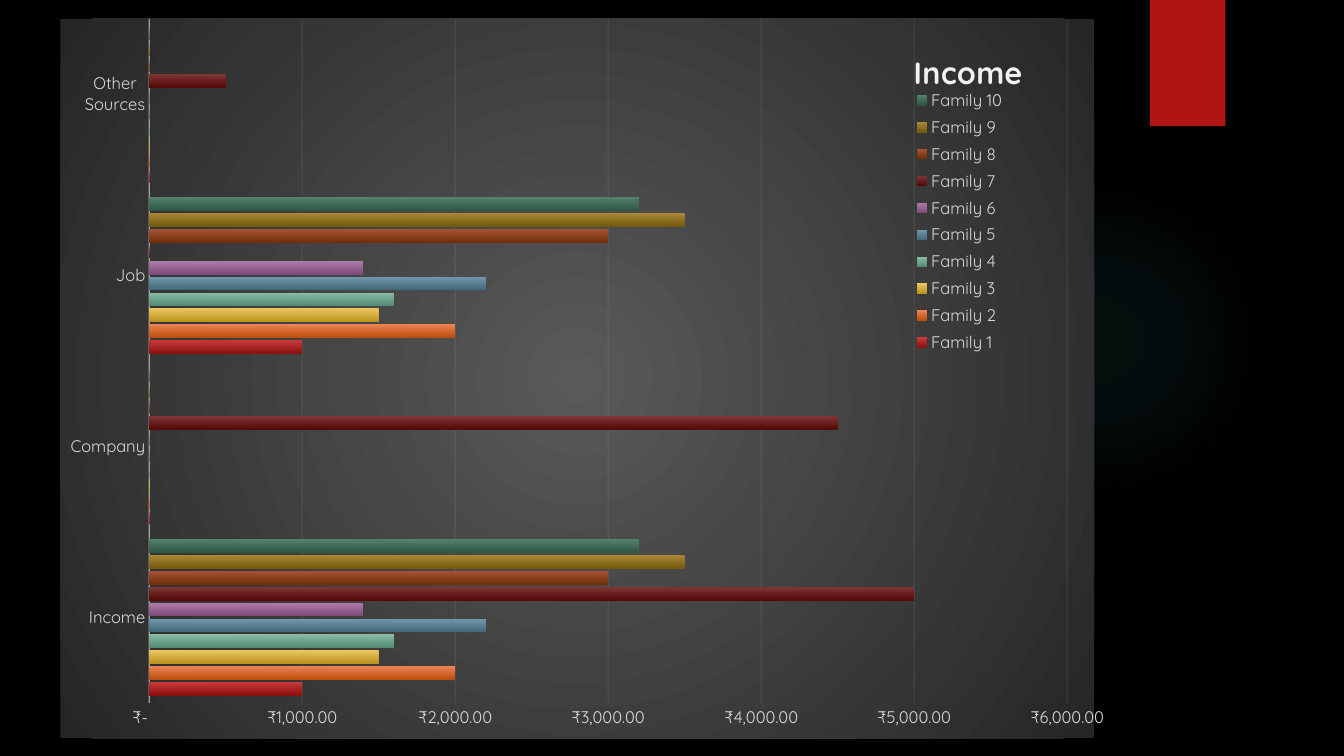
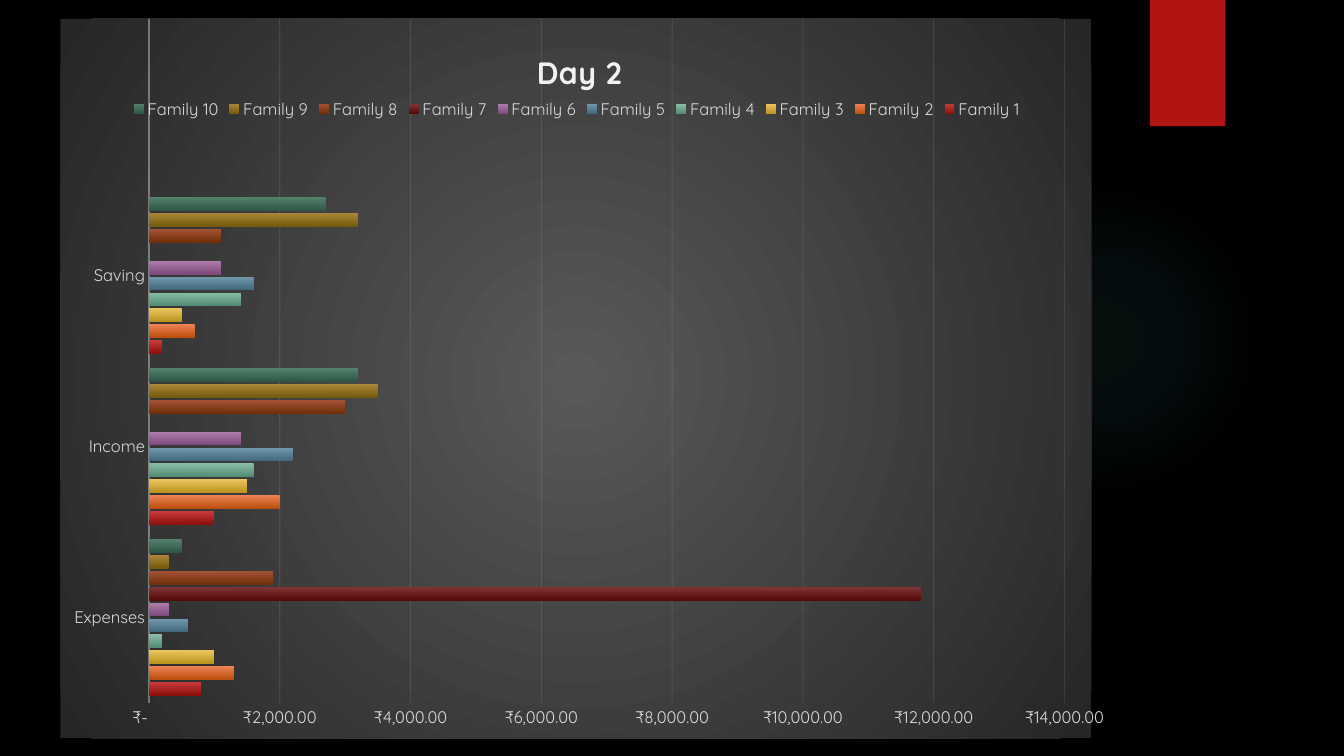
from dataclasses import dataclass

from pptx import Presentation
from pptx import util as u
from pptx.chart.data import CategoryChartData
from pptx.dml.color import RGBColor
from pptx.enum import chart as chart_kinds
from pptx.enum import shapes
from pptx.oxml import parse_xml
from pptx.oxml.ns import nsdecls, qn


@dataclass(frozen=True)
class Theme:
    font: str = "Quicksand"
    base_size: int = 10
    label_size: int = 12
    title_size: int = 22
    title_spacing: int = 50
    background: str = "000000"
    ribbon: str = "B01513"
    glow: str = "50B9C1"
    base_text: str = "FFFFFF"
    label_text: str = "D9D9D9"
    light: str = "F2F2F2"
    panel: tuple = ("595959", "262626")
    families: tuple = (
        ("C93B3A", "8D110F"), ("EE8455", "BC4F0E"), ("EBC65F", "BB941F"),
        ("89BDA7", "538C74"), ("7198AB", "436A7C"), ("AF7CAC", "7F4B7C"),
        ("7F3636", "550A09"), ("A45236", "713009"), ("AA8737", "755B0E"),
        ("52816C", "305646"),
    )


THEME = Theme()
RUPEES = '_("₹"* #,##0.00_);_("₹"* \\(#,##0.00\\);_("₹"* "-"??_);_(@_)'
PLOT_LAYOUT = (0.086, 0, 0.888, 0.951)

CHARTS = (
    {
        "title": "Income",
        "title_at": (0.82, 0.036),
        "legend": chart_kinds.XL_LEGEND_POSITION.CORNER,
        "legend_at": (0.825, 0.09, 0.09, 0.383),
        "scale": (6000, 1000),
        "categories": ("Income", "Company", "Job", "Other Sources\n"),
        "families": (
            (1000, 0, 1000, 0), (2000, 0, 2000, 0), (1500, 0, 1500, 0),
            (1600, 0, 1600, 0), (2200, 0, 2200, 0), (1400, 0, 1400, 0),
            (5000, 4500, 0, 500), (3000, 0, 3000, 0), (3500, 0, 3500, 0),
            (3200, 0, 3200, 0),
        ),
    },
    {
        "title": "Day 2",
        "title_at": (0.457, 0.036),
        "legend": chart_kinds.XL_LEGEND_POSITION.TOP,
        "legend_at": (0.066, 0.105, 0.87, 0.04),
        "scale": (14000, 2000),
        "categories": ("Expenses", "Income", "Saving", ""),
        "families": (
            (800, 1000, 200, None), (1300, 2000, 700, None),
            (1000, 1500, 500, None), (200, 1600, 1400, None),
            (600, 2200, 1600, None), (300, 1400, 1100, None),
            (11800, 0, 0, None), (1900, 3000, 1100, None),
            (300, 3500, 3200, None), (500, 3200, 2700, None),
        ),
    },
)


def apply(target, formats):
    for name, value in formats.items():
        setattr(target, name, value)


def format_font(font, size, colour, bold=False):
    apply(font, {"name": THEME.font, "size": u.Pt(size), "bold": bold})
    font.color.rgb = RGBColor.from_string(colour)


def radial_fill(stops):
    stop_xml = "".join(
        f'<a:gs pos="{position * 1000}"><a:srgbClr val="{colour}">'
        f'<a:alpha val="{opacity * 1000}"/></a:srgbClr></a:gs>'
        for position, colour, opacity in stops
    )
    return (
        f'<a:gradFill {nsdecls("a")}><a:gsLst>{stop_xml}</a:gsLst>'
        '<a:path path="circle"><a:fillToRect l="50000" t="50000" '
        'r="50000" b="50000"/></a:path></a:gradFill>'
    )


def add_plain_shape(slide, kind, left, top, width, height):
    shape = slide.shapes.add_shape(
        kind, u.Cm(left), u.Cm(top), u.Cm(width), u.Cm(height)
    )
    shape.shadow.inherit = False
    shape.line.fill.background()
    return shape


def add_glow(slide):
    shape = add_plain_shape(
        slide, shapes.MSO_SHAPE.OVAL, 23.9, 4.65, 7.82, 7.82
    )
    shape.fill.background()
    properties = shape.element.spPr
    stops = ((0, THEME.glow, 7), (36, THEME.glow, 6), (69, THEME.glow, 0))
    properties.replace(
        properties.find(qn("a:noFill")), parse_xml(radial_fill(stops))
    )
    return shape


def add_ribbon(slide):
    shape = add_plain_shape(
        slide, shapes.MSO_SHAPE.RECTANGLE, 28.98, 0, 1.9, 3.18
    )
    shape.fill.solid()
    shape.fill.fore_color.rgb = RGBColor.from_string(THEME.ribbon)
    shape.element.spPr.find(qn("a:effectLst")).append(parse_xml(
        f'<a:outerShdw {nsdecls("a")} blurRad="{u.Pt(3)}" '
        f'dist="{u.Pt(2)}" dir="5400000" rotWithShape="0">'
        '<a:srgbClr val="000000"><a:alpha val="45000"/></a:srgbClr>'
        '</a:outerShdw>'
    ))
    return shape


def decorate_layout(layout, slide):
    fill = layout.background.fill
    fill.solid()
    fill.fore_color.rgb = RGBColor.from_string(THEME.background)
    for placeholder in list(layout.placeholders):
        placeholder.element.getparent().remove(placeholder.element)
    for shape in (add_glow(slide), add_ribbon(slide)):
        layout.shapes.element.append(shape.element)


def set_layout(parent, predecessor, values, inner=False):
    for previous in parent.findall(qn("c:layout")):
        parent.remove(previous)
    fields = [("layoutTarget", "inner")] if inner else []
    fields += [("xMode", "edge"), ("yMode", "edge")]
    fields += zip("xywh", values)
    content = "".join(f'<c:{name} val="{value}"/>' for name, value in fields)
    before = parent.find(qn(predecessor)) if predecessor else None
    position = 0 if before is None else parent.index(before) + 1
    parent.insert(position, parse_xml(
        f'<c:layout {nsdecls("c")}><c:manualLayout>{content}'
        '</c:manualLayout></c:layout>'
    ))


def format_line(line, width, colour):
    line.width = u.Pt(width)
    line.color.rgb = RGBColor.from_string(colour)


def set_opacity(chart, owner, percent):
    for colour in chart.element.xpath(f".//{owner}/c:spPr//a:srgbClr"):
        colour.append(parse_xml(
            f'<a:alpha {nsdecls("a")} val="{percent * 1000}"/>'
        ))


def format_axes(chart, maximum, step):
    category, value = chart.category_axis, chart.value_axis
    for axis in (category, value):
        apply(axis, {
            "major_tick_mark": chart_kinds.XL_TICK_MARK.NONE,
            "minor_tick_mark": chart_kinds.XL_TICK_MARK.NONE,
        })
        format_font(axis.tick_labels.font, THEME.label_size, THEME.label_text)
    apply(value, {
        "minimum_scale": 0,
        "maximum_scale": maximum,
        "major_unit": step,
        "has_major_gridlines": True,
    })
    apply(value.tick_labels, {
        "number_format": RUPEES,
        "number_format_is_linked": False,
    })
    value.format.line.fill.background()
    format_line(category.format.line, 1, THEME.light)
    format_line(value.major_gridlines.format.line, 0.75, THEME.light)
    set_opacity(chart, "c:catAx", 54)
    set_opacity(chart, "c:majorGridlines", 10)


def format_bars(plot):
    apply(plot, {"gap_width": 115, "overlap": -20, "vary_by_categories": False})
    for series, colours in zip(plot.series, THEME.families):
        series.invert_if_negative = False
        fill = series.format.fill
        fill.gradient()
        fill.gradient_angle = 270
        for stop, colour in zip(fill.gradient_stops, colours):
            stop.color.rgb = RGBColor.from_string(colour)


def format_title(chart, title, position):
    chart.has_title = True
    chart.chart_title.include_in_layout = False
    run = chart.chart_title.text_frame.paragraphs[0].add_run()
    run.text = title
    format_font(run.font, THEME.title_size, THEME.light, bold=True)
    run.font.element if hasattr(run.font, "element") else None
    for properties in chart.element.xpath("./c:chart/c:title//a:r/a:rPr"):
        properties.set("spc", str(THEME.title_spacing))
    set_layout(chart.element.xpath("./c:chart/c:title")[0], "c:tx", position)


def format_legend(chart, side, position):
    chart.has_legend = True
    apply(chart.legend, {"position": side, "include_in_layout": True})
    format_font(chart.legend.font, THEME.label_size, THEME.label_text)
    set_layout(
        chart.element.xpath("./c:chart/c:legend")[0], "c:legendPos", position
    )


def fill_panel(chart):
    inside, outside = THEME.panel
    gradient = radial_fill(((0, inside, 100), (100, outside, 100)))
    chart.element.find(qn("c:chart")).addnext(parse_xml(
        f'<c:spPr {nsdecls("c", "a")}>{gradient}'
        '<a:ln><a:noFill/></a:ln></c:spPr>'
    ))


def add_family_chart(slide, content):
    data = CategoryChartData(number_format=RUPEES)
    data.categories = content["categories"]
    for number, values in enumerate(content["families"], 1):
        data.add_series(f"Family {number}", values)
    chart = slide.shapes.add_chart(
        chart_kinds.XL_CHART_TYPE.BAR_CLUSTERED,
        u.Cm(1.52), u.Cm(0.46), u.Cm(26.42), u.Cm(18.14), data,
    ).chart
    format_font(chart.font, THEME.base_size, THEME.base_text)
    format_title(chart, content["title"], content["title_at"])
    format_legend(chart, content["legend"], content["legend_at"])
    format_axes(chart, *content["scale"])
    format_bars(chart.plots[0])
    fill_panel(chart)
    plot_area = chart.element.xpath("./c:chart/c:plotArea")[0]
    set_layout(plot_area, None, PLOT_LAYOUT, inner=True)


def main():
    presentation = Presentation()
    apply(presentation, {
        "slide_width": u.Cm(33.87),
        "slide_height": u.Cm(19.05),
    })
    layout = presentation.slide_layouts[6]
    slides = [presentation.slides.add_slide(layout) for _ in CHARTS]
    decorate_layout(layout, slides[0])
    for slide, content in zip(slides, CHARTS):
        add_family_chart(slide, content)
    presentation.save("out.pptx")


if __name__ == "__main__":
    main()
